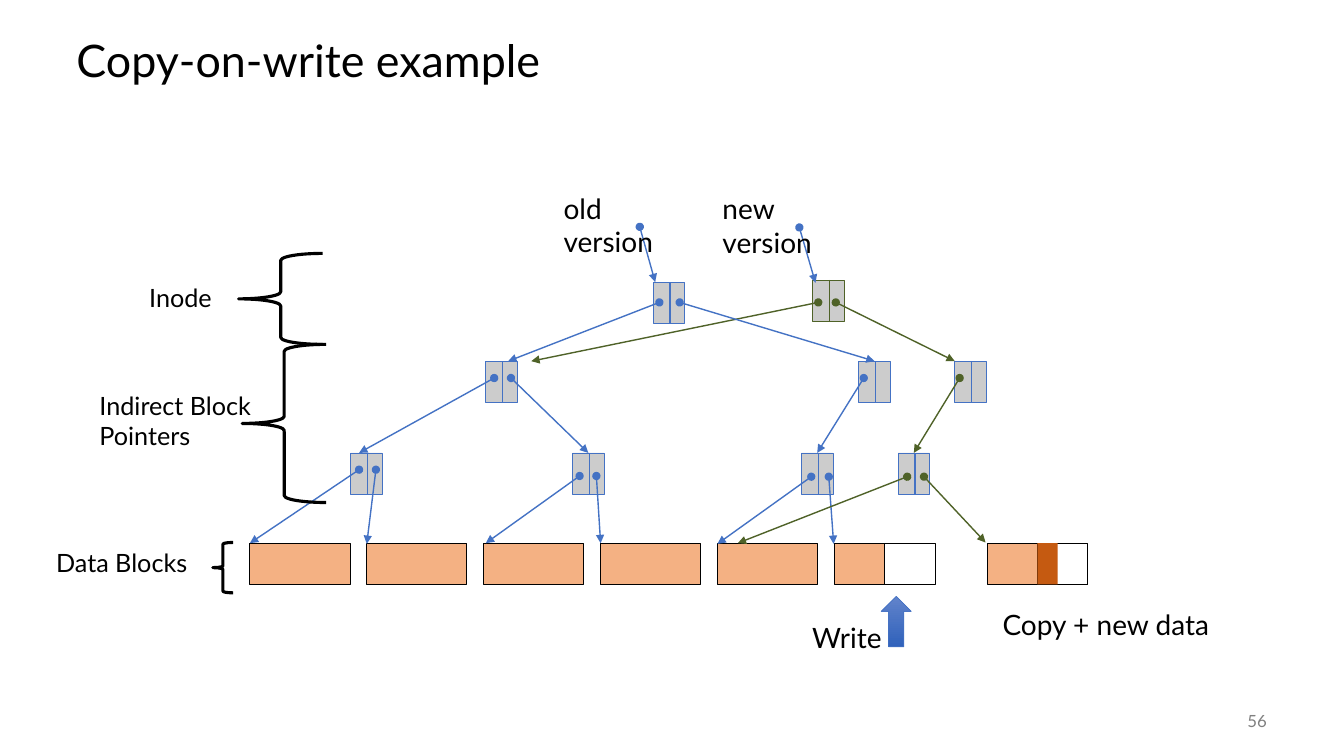
from pptx import Presentation
from pptx.dml.color import RGBColor
from pptx.enum.shapes import MSO_CONNECTOR, MSO_SHAPE
from pptx.enum.text import MSO_ANCHOR, PP_ALIGN
from pptx.oxml.ns import qn
from pptx.util import Pt
from lxml.etree import SubElement

BLACK = RGBColor(0x00, 0x00, 0x00)
WHITE = RGBColor(0xFF, 0xFF, 0xFF)
GRAY = RGBColor(0x80, 0x80, 0x80)
NODE_GRAY = RGBColor(0xCC, 0xCC, 0xCC)
BLUE = RGBColor(0x44, 0x72, 0xC4)
GREEN = RGBColor(0x4F, 0x62, 0x28)
ORANGE = RGBColor(0xF4, 0xB1, 0x83)
DARK_ORANGE = RGBColor(0xC5, 0x5A, 0x11)
ARROW_TOP = RGBColor(0x61, 0x83, 0xCB)
ARROW_BOTTOM = RGBColor(0x30, 0x62, 0xBB)

NODE_W, NODE_H, DIVIDER_X = 22.5, 29.5, 12
BLOCK_W, BLOCK_H, BLOCK_Y, BLOCK_STEP = 71.5, 29.5, 388, 83.5

deck = Presentation()
deck.slide_width, deck.slide_height = Pt(960), Pt(540)
slide = deck.slides.add_slide(deck.slide_layouts[6])


def add_box(kind, x, y, w, h, fill, line, line_width=0.5):
    box = slide.shapes.add_shape(kind, Pt(x), Pt(y), Pt(w), Pt(h))
    box.shadow.inherit = False
    if fill is None:
        box.fill.background()
    else:
        box.fill.solid()
        box.fill.fore_color.rgb = fill
    if line is None:
        box.line.fill.background()
    else:
        box.line.color.rgb = line
        box.line.width = Pt(line_width)
    return box


def add_line(start, end, color, pointer=False):
    line = slide.shapes.add_connector(
        MSO_CONNECTOR.STRAIGHT, *[Pt(value) for value in (*start, *end)])
    line.line.color.rgb = color
    line.line.width = Pt(1)
    properties = line._element.spPr
    if pointer:
        outline = properties.find(qn("a:ln"))
        SubElement(outline, qn("a:headEnd"), type="oval")
        SubElement(outline, qn("a:tailEnd"), type="triangle")
    SubElement(properties, qn("a:effectLst"))
    return line


# Data blocks, with the half-filled last block and its copy
for column in range(6):
    add_box(MSO_SHAPE.RECTANGLE, 178.5 + column * BLOCK_STEP, BLOCK_Y,
            BLOCK_W, BLOCK_H, ORANGE, BLACK)
add_box(MSO_SHAPE.RECTANGLE, 705.5, BLOCK_Y, BLOCK_W, BLOCK_H, ORANGE, BLACK)
for free_x in (632, 741):
    add_box(MSO_SHAPE.RECTANGLE, free_x, BLOCK_Y, 36, BLOCK_H, WHITE, BLACK)
add_box(MSO_SHAPE.RECTANGLE, 741, BLOCK_Y, 14.5, BLOCK_H, DARK_ORANGE, None)

# Inodes and indirect blocks: two cells each
nodes = {}
for name, x, y, color in [
    ("old inode", 466.5, 201.5, BLUE),
    ("new inode", 580.5, 200, GREEN),
    ("left", 347, 258, BLUE),
    ("old right", 613.5, 258, BLUE),
    ("new right", 682, 258, BLUE),
    ("leaf 1", 250.5, 323.5, BLUE),
    ("leaf 2", 409, 323.5, BLUE),
    ("old leaf 3", 572.5, 323.5, BLUE),
    ("new leaf 3", 641.5, 323.5, BLUE),
]:
    nodes[name] = add_box(MSO_SHAPE.RECTANGLE, x, y, NODE_W, NODE_H, NODE_GRAY, color)
    add_line((x + DIVIDER_X, y), (x + DIVIDER_X, y + NODE_H), color)

# Pointers that land on a corner or beside a block
for start, end, color in [
    ((457, 162), (468, 201.5), BLUE),
    ((571, 162.5), (582.5, 202), BLUE),
    ((471, 216), (363, 258), BLUE),
    ((353, 270), (256.5, 323.5), BLUE),
    ((256.5, 335.5), (178.5, 388), BLUE),
    ((268.5, 335.5), (262, 388.5), BLUE),
    ((414, 340), (347, 388), BLUE),
    ((426, 340), (429, 388), BLUE),
    ((579.5, 340.5), (512.5, 388.5), BLUE),
    ((592, 340.5), (595.5, 388.5), BLUE),
    ((584.5, 216), (379.5, 258), GREEN),
    ((597, 216), (682, 258), GREEN),
    ((648, 340.5), (527, 388), GREEN),
    ((660, 340.5), (704, 387.5), GREEN),
]:
    add_line(start, end, color, pointer=True)

# Pointers that land on the middle of a node's top side
for start, target, color in [
    ((485.5, 216), "old right", BLUE),
    ((365, 270), "leaf 2", BLUE),
    ((617, 270), "old leaf 3", BLUE),
    ((685.5, 270), "new leaf 3", GREEN),
]:
    add_line(start, start, color, pointer=True).end_connect(nodes[target], 0)

# Write arrow
write_arrow = add_box(MSO_SHAPE.UP_ARROW, 629.5, 426, 21.5, 36, BLUE, BLUE)
write_arrow.fill.gradient()
write_arrow.fill.gradient_angle = 270
for stop, color in zip(write_arrow.fill.gradient_stops, (ARROW_TOP, ARROW_BOTTOM)):
    stop.color.rgb = color

# Level braces
for x, y, w, h in [(170.5, 181, 60, 65), (173, 246, 60, 113), (152, 387.5, 14.5, 36)]:
    add_box(MSO_SHAPE.LEFT_BRACE, x, y, w, h, None, BLACK, 2.25)

# Title, labels and page number
for text, x, y, w, h, size, color, wrap, anchor, align, spacing in [
    ("Copy-on-write example", 47.5, 18, 864, 54, 32, BLACK, True,
     MSO_ANCHOR.MIDDLE, PP_ALIGN.LEFT, 0.9),
    ("old version", 395.5, 133, 100, 32, 20, BLACK, True, MSO_ANCHOR.TOP, PP_ALIGN.LEFT, 1),
    ("new version", 509, 133.5, 100, 32, 20, BLACK, True, MSO_ANCHOR.TOP, PP_ALIGN.LEFT, 1),
    ("Inode", 99.5, 198, 61, 29, 18, BLACK, True, MSO_ANCHOR.TOP, PP_ALIGN.LEFT, 1),
    ("Indirect Block Pointers", 64, 275, 127.5, 51, 18, BLACK, True,
     MSO_ANCHOR.TOP, PP_ALIGN.LEFT, 1),
    ("Data Blocks", 33, 387.5, 114.5, 29, 18, BLACK, True, MSO_ANCHOR.TOP, PP_ALIGN.LEFT, 1),
    ("Write", 573, 439.5, 65, 32, 20, BLACK, False, MSO_ANCHOR.TOP, PP_ALIGN.LEFT, 1),
    ("Copy + new data", 709, 430.5, 165, 32, 20, BLACK, False,
     MSO_ANCHOR.TOP, PP_ALIGN.LEFT, 1),
    ("56", 840, 500.5, 72, 29, 12, GRAY, True, MSO_ANCHOR.MIDDLE, PP_ALIGN.RIGHT, 1),
]:
    frame = slide.shapes.add_textbox(Pt(x), Pt(y), Pt(w), Pt(h)).text_frame
    frame.text = text
    frame.word_wrap = wrap
    frame.vertical_anchor = anchor
    paragraph = frame.paragraphs[0]
    paragraph.alignment = align
    paragraph.line_spacing = spacing
    font = paragraph.runs[0].font
    font.name, font.size = "Lato", Pt(size)
    font.color.rgb = color

deck.save("out.pptx")
